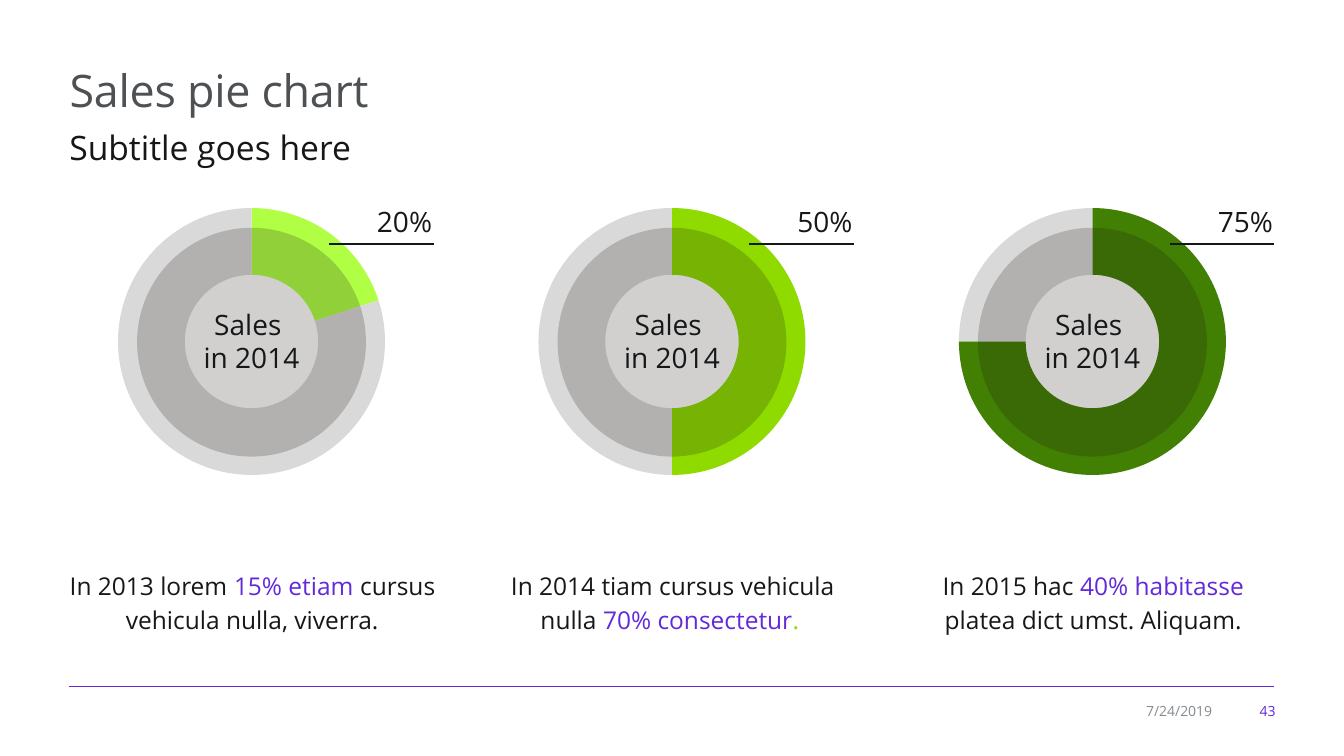
from lxml import etree
from pptx import Presentation
from pptx.chart.data import CategoryChartData
from pptx.dml.color import RGBColor
from pptx.enum import chart as chart_enum, shapes, text
from pptx.oxml import parse_xml
from pptx.oxml.ns import nsdecls, qn
from pptx.util import Inches, Pt

FONT = "Open Sans"
INK, ACCENT, GREEN, TRACK = "161718", "622AD8", "8FDB00", "D9D9D9"
CENTER, RIGHT = text.PP_ALIGN.CENTER, text.PP_ALIGN.RIGHT
COLUMN_LEFT, COLUMN_TOP, COLUMN_STEP = 1.03, 1.88, 4.17
CHART_WIDTH, CHART_HEIGHT, RING = 2.93, 3.02, 2.65

# share of the ring, its colour, and caption pieces with their colours
COLUMNS = [
    (20, "B0FF45", [("In 2013 lorem ", INK), ("15% etiam ", ACCENT),
                    ("cursus\nvehicula nulla, viverra.", INK)]),
    (50, GREEN, [("In 2014 tiam cursus vehicula\nnulla ", INK),
                 ("70% consectetur", ACCENT), (". ", GREEN)]),
    (75, "428003", [("In 2015 hac ", INK), ("40% habitasse\n", ACCENT),
                    ("platea dict umst. Aliquam.", INK)]),
]


def color(hex_string):
    return RGBColor.from_string(hex_string)


def box(left, top, width, height):
    return [Inches(length) for length in (left, top, width, height)]


def write(paragraph, pieces, size, **formats):
    """Fill a paragraph with coloured pieces; a newline is a line break."""
    for name, value in formats.items():
        setattr(paragraph, name, value)
    for words, ink in pieces:
        for index, line in enumerate(words.split("\n")):
            if index:
                paragraph.add_line_break()
            if line:
                run = paragraph.add_run()
                run.text = line
                run.font.name, run.font.size = FONT, Pt(size)
                run.font.color.rgb = color(ink)


def add_text(slide, area, paragraphs, size, wrap=True, anchor=text.MSO_ANCHOR.TOP, **formats):
    frame = slide.shapes.add_textbox(*box(*area)).text_frame
    frame.word_wrap, frame.vertical_anchor = wrap, anchor
    for index, pieces in enumerate(paragraphs):
        paragraph = frame.add_paragraph() if index else frame.paragraphs[0]
        write(paragraph, pieces, size, **formats)


def add_line(slide, left, right, y, ink, weight):
    line = slide.shapes.add_connector(shapes.MSO_CONNECTOR.STRAIGHT, Inches(left),
                                      Inches(y), Inches(right), Inches(y))
    line.line.color.rgb, line.line.width = color(ink), Pt(weight)
    etree.SubElement(line._element.spPr, qn("a:effectLst"))


def add_header(slide, left, top):
    title = slide.shapes.title
    title.left, title.top, title.width, title.height = box(left, top, 12.16, 0.66)
    paragraph = title.text_frame.paragraphs[0]
    write(paragraph, [("Sales pie chart", "4D5154")], 32, alignment=text.PP_ALIGN.LEFT)
    paragraph.runs[0].font._element.set("spc", "-20")
    add_text(slide, (left, top + 0.58, 12.03, 0.54), [[("Subtitle goes here", INK)]],
             24, line_spacing=1.17, space_after=Pt(6))


def add_ring(slide, left, top, share, ink):
    data = CategoryChartData()
    data.categories = ["1", "2"]
    data.add_series("Series 1", (share, 100 - share))
    chart = slide.shapes.add_chart(chart_enum.XL_CHART_TYPE.DOUGHNUT,
                                   *box(left, top, CHART_WIDTH, CHART_HEIGHT), data).chart
    chart.has_legend = chart.has_title = False
    chart.font.name, chart.font.size = FONT, Pt(10)
    chart.font.color.rgb = color(INK)
    for index, point_ink in enumerate((ink, TRACK)):
        point = chart.plots[0].series[0].points[index].format
        point.fill.solid()
        point.fill.fore_color.rgb = color(point_ink)
        point.line.fill.background()

    # Hole size and a fixed, centred plot area
    plot_area = chart._chartSpace.chart.plotArea
    next(plot_area.iter(qn("c:holeSize"))).set("val", "75")
    width, height = RING / CHART_WIDTH, RING / CHART_HEIGHT
    values = {"x": (1 - width) / 2, "y": (1 - height) / 2, "w": width, "h": height}
    sizes = "".join(f'<c:{name} val="{value:.3f}"/>' for name, value in values.items())
    for layout in plot_area.findall(qn("c:layout")):
        plot_area.remove(layout)
    plot_area.insert(0, parse_xml(
        f'<c:layout {nsdecls("c")}><c:manualLayout><c:layoutTarget val="inner"/>'
        f'<c:xMode val="edge"/><c:yMode val="edge"/>{sizes}</c:manualLayout></c:layout>'))


def add_shade(slide, left, top, diameter):
    disc = slide.shapes.add_shape(shapes.MSO_SHAPE.OVAL, *box(left, top, diameter, diameter))
    disc.shadow.inherit = False
    disc.fill.solid()
    disc.fill.fore_color.rgb = color("1B140F")
    disc.line.fill.background()
    fill = next(disc._element.spPr.iter(qn("a:srgbClr")))
    etree.SubElement(fill, qn("a:alpha")).set("val", "20000")


def add_column(slide, left, top, share, ink, caption):
    add_ring(slide, left, top, share, ink)
    add_shade(slide, left + 0.33, top + 0.38, 2.27)
    add_text(slide, (left + 0.88, top + 1.12, 1.17, 0.77),
             [[("Sales ", INK)], [("in 2014", INK)]], 20, wrap=False, alignment=CENTER)
    add_text(slide, (left - 0.54, top + 3.7, 4.03, 0.75), [caption], 17.5,
             wrap=False, alignment=CENTER, line_spacing=1.14)
    # Callout
    add_text(slide, (left + 2.61, top + 0.1, 0.79, 0.44), [[(f"{share}%", INK)]],
             20, wrap=False)
    add_line(slide, left + 2.23, left + 3.27, top + 0.54, INK, 1)


def add_footer(slide, left, right, top):
    add_line(slide, left, right, top, ACCENT, 0.75)
    for words, ink, x, width in (("43", ACCENT, 12.24, 0.51),
                                 ("7/24/2019", "868B90", 11.17, 0.95)):
        add_text(slide, (x, top + 0.11, width, 0.26), [[(words, ink)]], 10,
                 anchor=text.MSO_ANCHOR.MIDDLE, alignment=RIGHT)


def main():
    presentation = Presentation()
    presentation.slide_width, presentation.slide_height = Inches(13.33), Inches(7.5)
    slide = presentation.slides.add_slide(presentation.slide_layouts[5])
    add_header(slide, 0.59, 0.56)
    for index, column in enumerate(COLUMNS):
        add_column(slide, COLUMN_LEFT + index * COLUMN_STEP, COLUMN_TOP, *column)
    add_footer(slide, 0.68, 12.64, 6.81)
    presentation.save("out.pptx")


if __name__ == "__main__":
    main()
